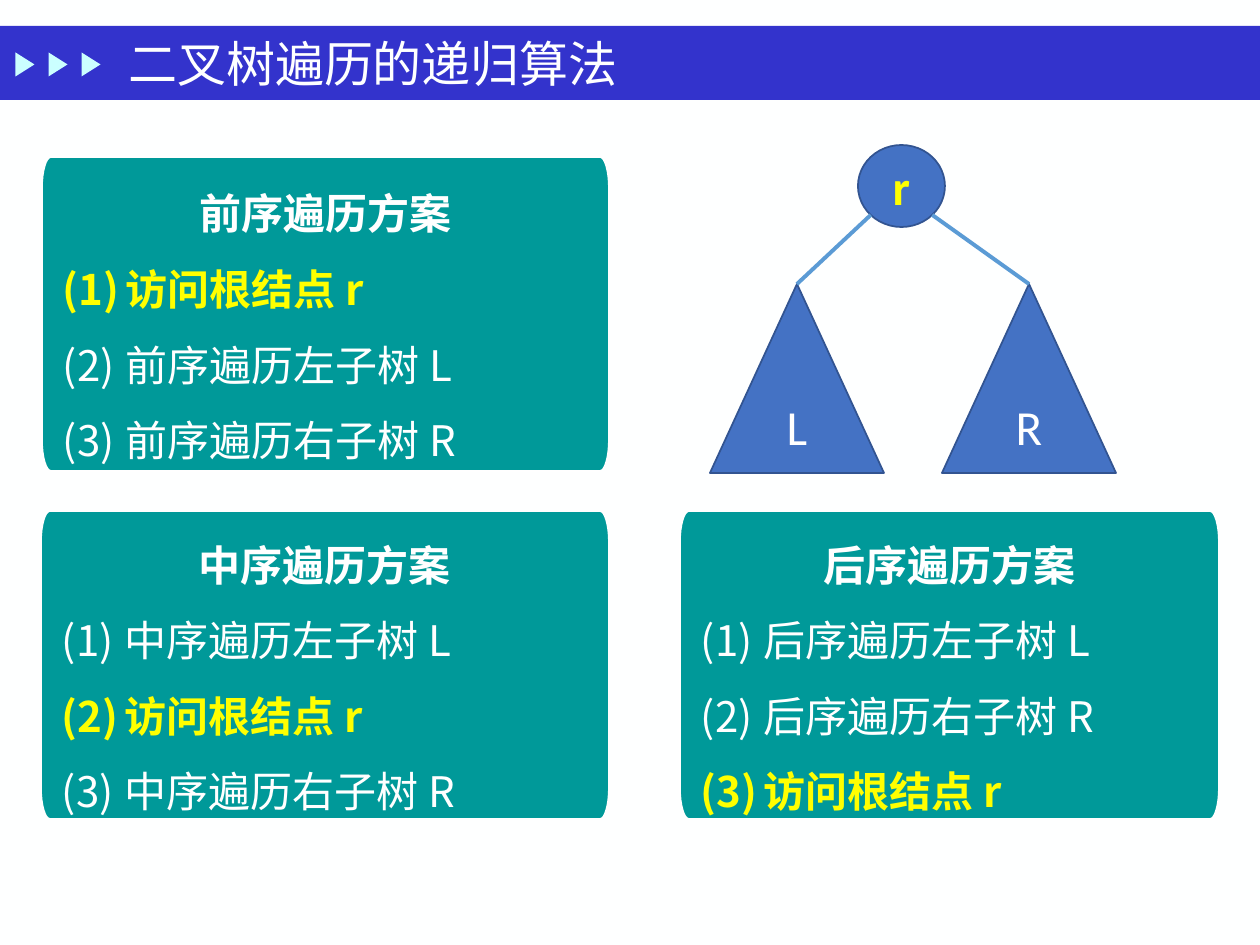
from dataclasses import dataclass
from math import cos, pi, sin

from lxml import etree
from pptx import Presentation
from pptx.dml.color import RGBColor
from pptx.enum.shapes import MSO_CONNECTOR, MSO_SHAPE
from pptx.enum.text import MSO_ANCHOR, PP_ALIGN
from pptx.oxml.ns import qn
from pptx.util import Pt

STRAIGHT = MSO_CONNECTOR.STRAIGHT
RECTANGLE, OVAL, TRIANGLE = MSO_SHAPE.RECTANGLE, MSO_SHAPE.OVAL, MSO_SHAPE.ISOSCELES_TRIANGLE
LEFT, CENTER, MIDDLE = PP_ALIGN.LEFT, PP_ALIGN.CENTER, MSO_ANCHOR.MIDDLE
SCALE = 914400 / 126


@dataclass(frozen=True)
class Theme:
    background: str = "FEFFFF"
    band: str = "3333CC"
    marker: str = "CBFFFF"
    panel: str = "009999"
    white: str = "FFFFFF"
    highlight: str = "FFFF00"
    node: str = "4472C4"
    node_line: str = "325491"
    edge: str = "5B9BD5"
    heading_size: int = 28
    panel_size: int = 24
    title_font: str = "Times New Roman"
    node_font: str = "Calibri"
    panel_font: str = "Noto Sans CJK SC"


THEME = Theme()
TITLE = "二叉树遍历的递归算法"
VISIT = "访问根结点 r"
PANELS = [
    ((42, 157, 567, 314), "前序遍历方案", [VISIT, "前序遍历左子树 L", "前序遍历右子树 R"]),
    ((41, 511, 568, 308), "中序遍历方案", ["中序遍历左子树 L", VISIT, "中序遍历右子树 R"]),
    ((680, 511, 539, 308), "后序遍历方案", ["后序遍历左子树 L", "后序遍历右子树 R", VISIT]),
]
ROOT = (858, 145, 87, 82)
SUBTREES = [("L", 710), ("R", 942)]
SUBTREE_TOP, SUBTREE_WIDTH, SUBTREE_HEIGHT = 284, 174, 189
MARKER_COUNT, MARKER_LEFT, MARKER_STEP = 3, 13, 33
CORNER_X, CORNER_Y, CORNER_STEPS = 9, 31, 8


def px(value):
    return round(value * SCALE)


def color(value):
    return RGBColor.from_string(value)


def paint(shape, fill, line=None):
    shape.shadow.inherit = False
    shape.fill.solid()
    shape.fill.fore_color.rgb = color(fill)
    if line:
        shape.line.color.rgb = color(line)
        shape.line.width = Pt(1)
    else:
        shape.line.fill.background()


def add_shape(slide, kind, box, fill, line=None):
    shape = slide.shapes.add_shape(kind, *map(px, box))
    paint(shape, fill, line)
    return shape


def write(paragraph, text, *, size, font, fill, bold=False, align=LEFT, spacing=None):
    paragraph.alignment = align
    if spacing:
        paragraph.line_spacing = spacing
    run = paragraph.add_run()
    run.text = text
    run.font.size = Pt(size)
    run.font.name = font
    run.font.bold = bold
    run.font.color.rgb = color(fill)
    east_asian = etree.Element(qn("a:ea"), typeface=THEME.panel_font)
    run._r.rPr.find(qn("a:latin")).addnext(east_asian)


def number(paragraph):
    properties = paragraph._p.get_or_add_pPr()
    properties.set("marL", str(px(63)))
    properties.set("indent", str(px(-63)))
    etree.SubElement(properties, qn("a:buFont"), typeface=THEME.panel_font)
    etree.SubElement(properties, qn("a:buAutoNum"), type="arabicParenBoth")


def panel_outline(left, top, width, height):
    right, bottom = left + width, top + height
    centers = [
        (right - CORNER_X, bottom - CORNER_Y), (left + CORNER_X, bottom - CORNER_Y),
        (left + CORNER_X, top + CORNER_Y), (right - CORNER_X, top + CORNER_Y),
    ]
    points = []
    for quarter, (x, y) in enumerate(centers):
        for step in range(CORNER_STEPS + 1):
            angle = (quarter + step / CORNER_STEPS) * pi / 2
            points.append((px(x + CORNER_X * cos(angle)), px(y + CORNER_Y * sin(angle))))
    return points


def add_panel(slide, box, heading, steps):
    points = panel_outline(*box)
    builder = slide.shapes.build_freeform(*points[0])
    builder.add_line_segments(points[1:], close=True)
    panel = builder.convert_to_shape()
    paint(panel, THEME.panel, THEME.white)
    frame = panel.text_frame
    frame.word_wrap = True
    frame.vertical_anchor = MIDDLE
    frame.margin_left = frame.margin_right = px(21)
    frame.margin_top = frame.margin_bottom = px(21)
    style = dict(size=THEME.panel_size, font=THEME.panel_font, spacing=1.5)
    write(frame.paragraphs[0], heading, fill=THEME.white, bold=True, align=CENTER, **style)
    for step in steps:
        paragraph = frame.add_paragraph()
        number(paragraph)
        visit = step == VISIT
        write(paragraph, step, fill=THEME.highlight if visit else THEME.white, bold=visit, **style)


def add_node(slide, kind, box, label, fill, bold=False):
    node = add_shape(slide, kind, box, THEME.node, THEME.node_line)
    node.text_frame.vertical_anchor = MIDDLE
    write(node.text_frame.paragraphs[0], label, size=THEME.heading_size,
          font=THEME.node_font, fill=fill, bold=bold, align=CENTER)
    return node


def add_tree(slide):
    root = add_node(slide, OVAL, ROOT, "r", THEME.highlight, bold=True)
    for (label, left), root_site in zip(SUBTREES, (3, 5)):
        box = (left, SUBTREE_TOP, SUBTREE_WIDTH, SUBTREE_HEIGHT)
        subtree = add_node(slide, TRIANGLE, box, label, THEME.white)
        side = -1 if root_site == 3 else 1
        start_x = ROOT[0] + ROOT[2] / 2 * (1 + side * cos(pi / 4))
        start_y = ROOT[1] + ROOT[3] / 2 * (1 + sin(pi / 4))
        edge = slide.shapes.add_connector(
            STRAIGHT, px(start_x), px(start_y), px(left + SUBTREE_WIDTH / 2), px(SUBTREE_TOP))
        edge.line.color.rgb = color(THEME.edge)
        edge.line.width = Pt(2.25)
        etree.SubElement(edge._element.spPr, qn("a:effectLst"))


def add_header(slide):
    add_shape(slide, RECTANGLE, (0, 26, 1260, 74), THEME.band)
    for index in range(MARKER_COUNT):
        box = (MARKER_LEFT + index * MARKER_STEP, 55, 24, 19)
        add_shape(slide, TRIANGLE, box, THEME.marker).rotation = 90
    title = slide.shapes.add_textbox(*map(px, (116, 26, 882, 73)))
    title.text_frame.word_wrap = True
    title.text_frame.vertical_anchor = MIDDLE
    write(title.text_frame.paragraphs[0], TITLE, size=THEME.heading_size,
          font=THEME.title_font, fill=THEME.background)


def main():
    presentation = Presentation()
    presentation.slide_width, presentation.slide_height = px(1260), px(945)
    slide = presentation.slides.add_slide(presentation.slide_layouts[6])
    slide.background.fill.solid()
    slide.background.fill.fore_color.rgb = color(THEME.background)
    add_header(slide)
    for panel in PANELS:
        add_panel(slide, *panel)
    add_tree(slide)
    presentation.save("out.pptx")


if __name__ == "__main__":
    main()
